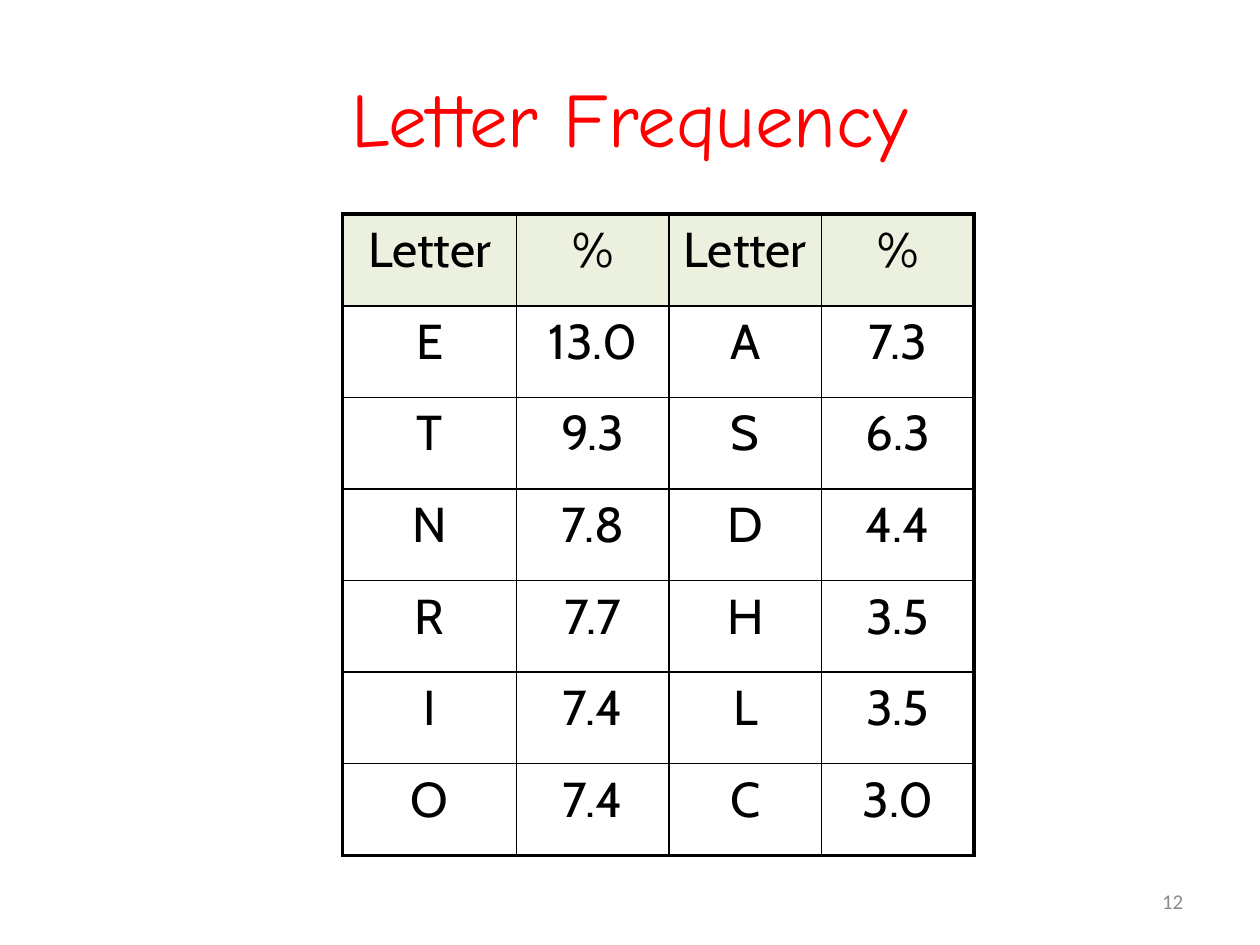
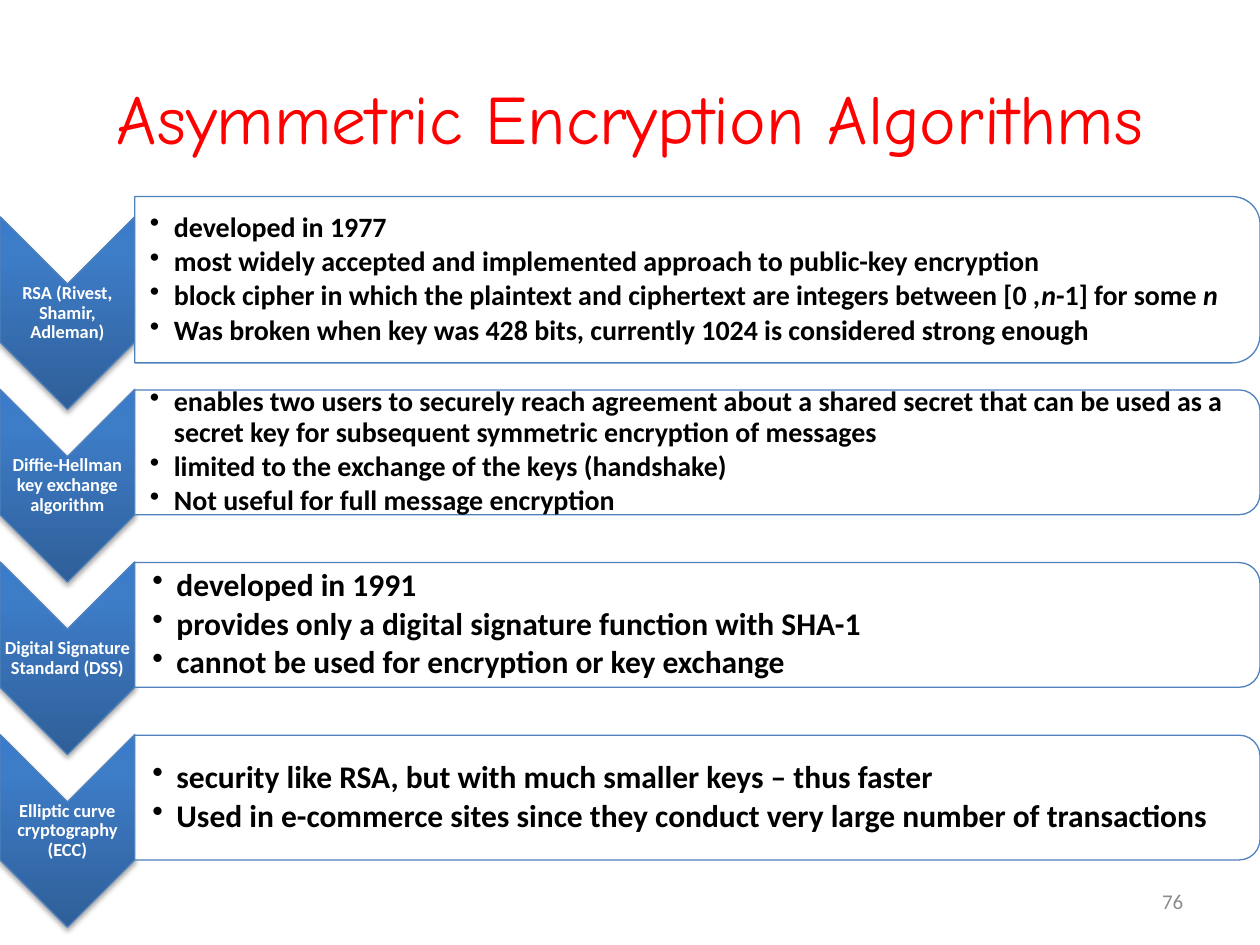
from dataclasses import dataclass

from lxml import etree
from pptx import Presentation
from pptx import util as u
from pptx.dml.color import RGBColor
from pptx.enum import shapes, text
from pptx.oxml import parse_xml
from pptx.oxml.ns import nsdecls, qn


@dataclass(frozen=True)
class Theme:
    title_font: str = "Comic Neue"
    table_font: str = "Cabin"
    body_font: str = "Calibri"
    title: str = "FF0000"
    ink: str = "000000"
    paper: str = "FFFFFF"
    number: str = "8C8C8C"
    header: str = "EBF1DE"
    outline: str = "4F81BD"
    gradient: tuple = ((0, "2F5F99"), (80, "3D7CC7"), (100, "3A7CCB"))
    number_size: float = 12
    table_size: float = 28
    label_size: float = 10.5
    thin: float = 1
    thick: float = 2.25
    outline_width: float = 0.75


theme = Theme()
align = text.PP_ALIGN


def write(paragraph, content, font, size, color, bold=False):
    for index, part in enumerate(content.split("|")):
        run = paragraph.add_run()
        run.text = part
        run.font.name = font
        run.font.size = u.Pt(size)
        run.font.bold = bold
        run.font.italic = index % 2 == 1
        run.font.color.rgb = RGBColor.from_string(color)


def add_frame(slide, left, top, width, height, insets=(0.1, 0.05, 0.1, 0.05)):
    box = slide.shapes.add_textbox(*map(u.Inches, (left, top, width, height)))
    frame = box.text_frame
    frame.word_wrap = True
    frame.vertical_anchor = text.MSO_ANCHOR.MIDDLE
    frame.margin_left, frame.margin_top, frame.margin_right, frame.margin_bottom = map(u.Inches, insets)
    return frame


deck = Presentation()
deck.slide_width, deck.slide_height = u.Inches(10), u.Inches(7.5)

pages = []
for heading, heading_size, number in (
    ("Letter Frequency", 44, "12"),
    ("Asymmetric Encryption Algorithms", 39.6, "76"),
):
    page = deck.slides.add_slide(deck.slide_layouts[6])
    title = add_frame(page, 0.5, 0.3, 9, 1.25).paragraphs[0]
    title.alignment = align.CENTER
    write(title, heading, theme.title_font, heading_size, theme.title)
    footer = add_frame(page, 7.16, 6.95, 2.33, 0.4).paragraphs[0]
    footer.alignment = align.RIGHT
    write(footer, number, theme.body_font, theme.number_size, theme.number)
    pages.append(page)
frequency_page, algorithm_page = pages

frequencies = (
    ("Letter", "%", "Letter", "%"),
    ("E", "13.0", "A", "7.3"),
    ("T", "9.3", "S", "6.3"),
    ("N", "7.8", "D", "4.4"),
    ("R", "7.7", "H", "3.5"),
    ("I", "7.4", "L", "3.5"),
    ("O", "7.4", "C", "3.0"),
)
row_count, column_count = len(frequencies), len(frequencies[0])
grid = frequency_page.shapes.add_table(
    row_count, column_count, u.Inches(2.72), u.Inches(1.7), u.Inches(5.01), u.Inches(5.09)
).table
grid.first_row = grid.horz_banding = False
for column, width in zip(grid.columns, (1.38, 1.21, 1.21, 1.21)):
    column.width = u.Inches(width)
for row in grid.rows:
    row.height = u.Inches(5.09 / row_count)

for r, values in enumerate(frequencies):
    for c, value in enumerate(values):
        cell = grid.cell(r, c)
        outer_sides = {"lnL": c == 0, "lnR": c == column_count - 1, "lnT": r == 0, "lnB": r == row_count - 1}
        for side, outer in outer_sides.items():
            width = u.Pt(theme.thick if outer else theme.thin)
            cell._tc.get_or_add_tcPr().append(parse_xml(
                f'<a:{side} {nsdecls("a")} w="{width}"><a:solidFill>'
                f'<a:srgbClr val="{theme.ink}"/></a:solidFill></a:{side}>'
            ))
        cell.fill.solid()
        cell.fill.fore_color.rgb = RGBColor.from_string(theme.header if r == 0 else theme.paper)
        entry = cell.text_frame.paragraphs[0]
        entry.alignment = align.CENTER
        write(entry, value, theme.table_font, theme.table_size, theme.ink)

algorithms = (
    ("RSA (Rivest, Shamir, Adleman)", 1.32, 16, 0.12, (
        "developed in 1977",
        "most widely accepted and implemented approach to public-key encryption",
        "block cipher in which the plaintext and ciphertext are integers between [0 ,|n|-1] for some |n",
        "Was broken when key was 428 bits, currently 1024 is considered strong enough",
    )),
    ("Diffie-Hellman key exchange algorithm", 0.99, 16, 0.12, (
        "enables two users to securely reach agreement about a shared secret that can be used as a "
        "secret key for subsequent symmetric encryption of messages",
        "limited to the exchange of the keys (handshake)",
        "Not useful for full message encryption",
    )),
    ("Digital Signature Standard (DSS)", 0.99, 18, 0.14, (
        "developed in 1991",
        "provides only a digital signature function with SHA-1",
        "cannot be used for encryption or key exchange",
    )),
    ("Elliptic curve cryptography (ECC)", 0.99, 18, 0.14, (
        "security like RSA, but with much smaller keys – thus faster",
        "Used in e-commerce sites since they conduct very large number of transactions",
    )),
)
arrow_width, arrow_height, panel_width = 1.07, 1.53, 8.93
stops = "".join(
    f'<a:gs pos="{position * 1000}"><a:srgbClr val="{color}"/></a:gs>' for position, color in theme.gradient
)

for index, (name, panel_height, size, inset, facts) in enumerate(algorithms):
    top = 1.72 + 1.37 * index
    panel_middle = top + 0.5
    pieces = []
    for preset, left, middle, width, height in (
        (shapes.MSO_SHAPE.CHEVRON, 0, top + arrow_height / 2, arrow_width, arrow_height),
        (shapes.MSO_SHAPE.ROUND_2_SAME_RECTANGLE, arrow_width, panel_middle, panel_width, panel_height),
    ):
        piece = algorithm_page.shapes.add_shape(
            preset, u.Inches(left + width / 2 - height / 2), u.Inches(middle - width / 2),
            u.Inches(height), u.Inches(width),
        )
        piece.rotation = 90
        piece.shadow.inherit = False
        piece.fill.solid()
        piece.fill.fore_color.rgb = RGBColor.from_string(theme.paper)
        piece.line.color.rgb = RGBColor.from_string(theme.outline)
        piece.line.width = u.Pt(theme.outline_width)
        pieces.append(piece)
    arrow, panel = pieces

    arrow_style = arrow._element.spPr
    arrow_style.replace(arrow_style.find(qn("a:solidFill")), parse_xml(
        f'<a:gradFill {nsdecls("a")} rotWithShape="0"><a:gsLst>{stops}</a:gsLst>'
        '<a:lin ang="16200000" scaled="0"/></a:gradFill>'
    ))
    arrow_style.find(qn("a:effectLst")).append(parse_xml(
        f'<a:outerShdw {nsdecls("a")} blurRad="{u.Pt(3.1)}" dist="{u.Pt(1.8)}" dir="5400000" rotWithShape="0">'
        f'<a:srgbClr val="{theme.ink}"><a:alpha val="35000"/></a:srgbClr></a:outerShdw>'
    ))
    panel_color = panel._element.spPr.find(qn("a:solidFill"))[0]
    etree.SubElement(panel_color, qn("a:alpha"), val="90000")

    label = add_frame(algorithm_page, 0, top + arrow_width / 2, arrow_width, 0.46, (0.01,) * 4).paragraphs[0]
    label.alignment = align.CENTER
    label.line_spacing = 0.9
    write(label, name, theme.body_font, theme.label_size, theme.paper, bold=True)

    facts_height = panel_height - 0.1
    details = add_frame(
        algorithm_page, arrow_width, panel_middle - facts_height / 2, 8.88, facts_height, (inset, 0.01, 0.01, 0.01)
    )
    for position, fact in enumerate(facts):
        line = details.add_paragraph() if position else details.paragraphs[0]
        properties = line._p.get_or_add_pPr()
        properties.set("marL", str(u.Inches(0.19)))
        properties.set("indent", str(-u.Inches(0.19)))
        etree.SubElement(properties, qn("a:buChar"), char="•")
        line.line_spacing = 0.9
        line.space_after = u.Pt(0.15 * size)
        write(line, fact, theme.body_font, size, theme.ink, bold=True)

deck.save("out.pptx")
